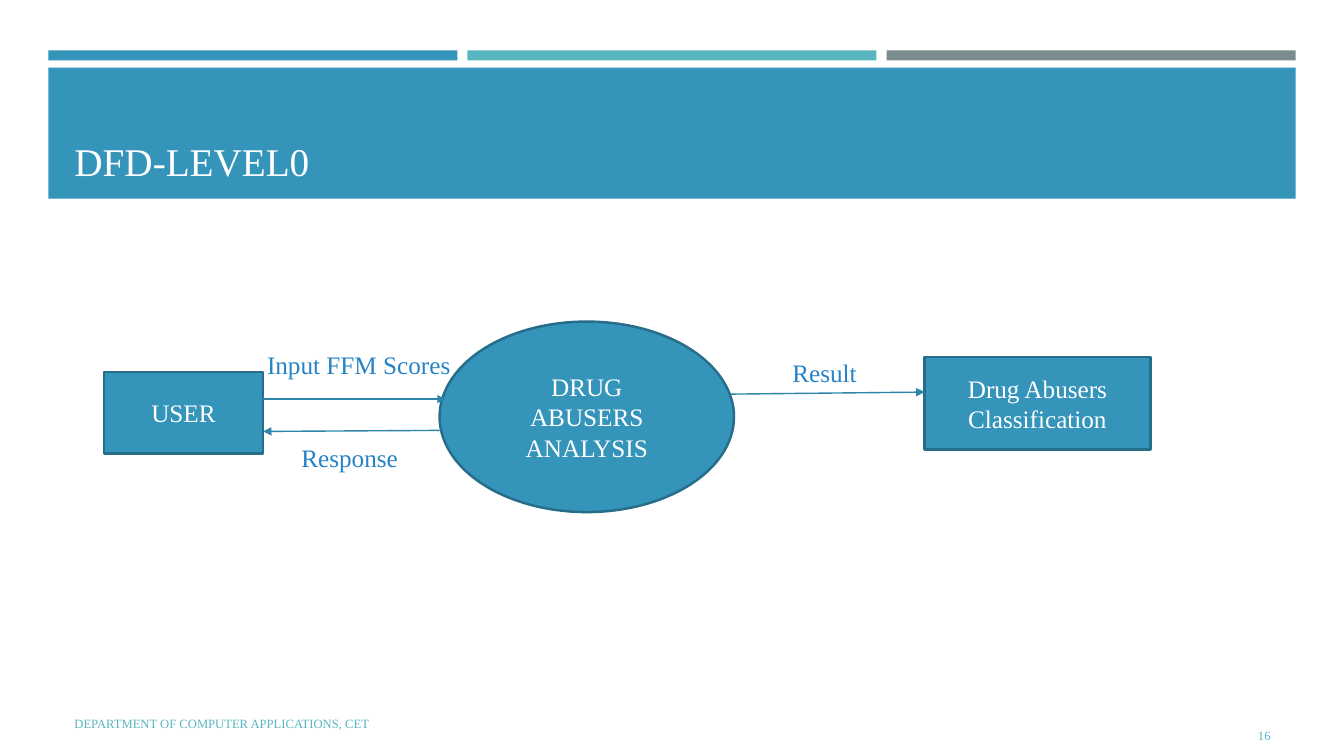
import pptx
import pptx.util
import pptx.dml.color
import pptx.enum.shapes
import pptx.enum.text
import pptx.oxml.ns
import lxml.etree

Inches = pptx.util.Inches
Pt = pptx.util.Pt
RGBColor = pptx.dml.color.RGBColor
MSO_SHAPE = pptx.enum.shapes.MSO_SHAPE
ANCHOR = pptx.enum.text.MSO_ANCHOR
ALIGN = pptx.enum.text.PP_ALIGN

BLUE = RGBColor(0x34, 0x94, 0xBA)
TEAL = RGBColor(0x58, 0xB6, 0xC0)
GRAY = RGBColor(0x7A, 0x8C, 0x8E)
OUTLINE = RGBColor(0x26, 0x6D, 0x8A)
ARROW = RGBColor(0x2F, 0x85, 0xA7)
LABEL = RGBColor(0x26, 0x83, 0xC6)
WHITE = RGBColor(0xFF, 0xFF, 0xFF)
FONT = "Times New Roman"


def write_text(sp, text, size=18, color=WHITE, align=ALIGN.LEFT, anchor=ANCHOR.TOP):
    tf = sp.text_frame
    tf.word_wrap = True
    tf.vertical_anchor = anchor
    p = tf.paragraphs[0]
    p.alignment = align
    r = p.add_run()
    r.text = text
    r.font.name = FONT
    r.font.size = Pt(size)
    r.font.color.rgb = color


def add_text(s, box, text, **fmt):
    sp = s.shapes.add_textbox(*map(Inches, box))
    write_text(sp, text, **fmt)


def add_block(s, box, fill, kind=MSO_SHAPE.RECTANGLE, outline=None):
    sp = s.shapes.add_shape(kind, *map(Inches, box))
    sp.shadow.inherit = False
    sp.fill.solid()
    sp.fill.fore_color.rgb = fill
    if outline is None:
        sp.line.fill.background()
    else:
        sp.line.color.rgb = outline
        sp.line.width = Pt(1.75)
    return sp


def add_node(s, box, text, kind=MSO_SHAPE.RECTANGLE):
    sp = add_block(s, box, BLUE, kind, OUTLINE)
    write_text(sp, text, align=ALIGN.CENTER, anchor=ANCHOR.MIDDLE)


def add_arrow(s, start, end):
    line = s.shapes.add_connector(
        pptx.enum.shapes.MSO_CONNECTOR.STRAIGHT, *map(Inches, start + end))
    line.line.color.rgb = ARROW
    line.line.width = Pt(1)
    qn = pptx.oxml.ns.qn
    lxml.etree.SubElement(line.line._get_or_add_ln(), qn("a:tailEnd"), type="triangle")
    lxml.etree.SubElement(line._element.spPr, qn("a:effectLst"))


def add_header(s, box, title):
    left, top, width, height = box
    gap = 0.1
    bar_width = (width - 2 * gap) / 3
    for i, color in enumerate((BLUE, TEAL, GRAY)):
        add_block(s, (left + i * (bar_width + gap), top, bar_width, 0.1), color)
    add_block(s, (left, top + 0.17, width, height - 0.17), BLUE)
    add_text(s, (left + 0.16, top + 0.27, width - 0.31, height - 0.36), title,
             size=28, anchor=ANCHOR.BOTTOM)


def add_diagram(s, box):
    left, top, width, height = box
    right = left + width
    user_right = left + 1.58
    process_left = left + 3.33
    result_left = right - 2.24

    add_node(s, (left, top + 0.5, 1.58, 0.81), "USER")
    add_node(s, (process_left, top, 2.92, height), "DRUG ABUSERS ANALYSIS",
             MSO_SHAPE.OVAL)
    add_node(s, (result_left, top + 0.35, 2.24, 0.92), "Drug Abusers Classification")

    add_arrow(s, (user_right, top + 0.77), (process_left + 0.06, top + 0.77))
    add_arrow(s, (process_left + 2.89, top + 0.72), (result_left, top + 0.7))
    add_arrow(s, (process_left, top + 1.08), (user_right, top + 1.09))

    for text, x, y, label_width in (("Input FFM Scores", 1.52, 0.23, 2.12),
                                    ("Response", 1.86, 1.15, 1.19),
                                    ("Result", 6.73, 0.31, 0.89)):
        add_text(s, (left + x, top + y, label_width, 0.4), text, color=LABEL)


def add_footer(s, box, text, number):
    left, top, width, height = box
    fmt = dict(size=9, color=TEAL, anchor=ANCHOR.MIDDLE)
    add_text(s, (left, top, 7.56, 0.4), text, **fmt)
    add_text(s, (left + width - 1.15, top + height - 0.4, 1.15, 0.4), number,
             align=ALIGN.RIGHT, **fmt)


def main():
    prs = pptx.Presentation()
    prs.slide_width = Inches(13.33)
    prs.slide_height = Inches(7.5)
    s = prs.slides.add_slide(prs.slide_layouts[6])
    add_header(s, (0.48, 0.5, 12.37, 1.47), "DFD-LEVEL0")
    add_diagram(s, (1.03, 3.19, 10.38, 1.89))
    add_footer(s, (0.64, 6.98, 12.06, 0.52),
               "DEPARTMENT OF COMPUTER APPLICATIONS, CET", "16")
    prs.save("out.pptx")


if __name__ == "__main__":
    main()
